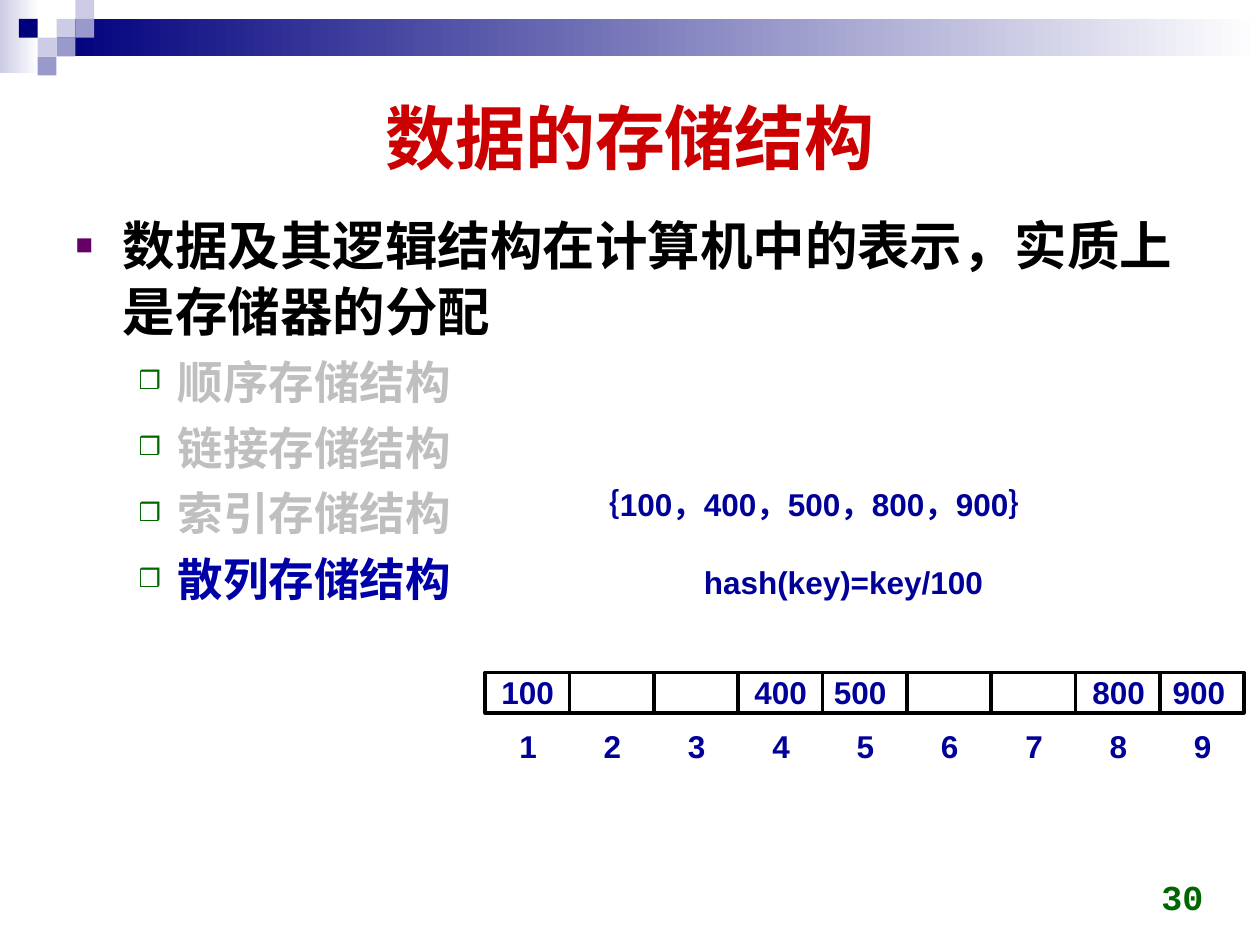
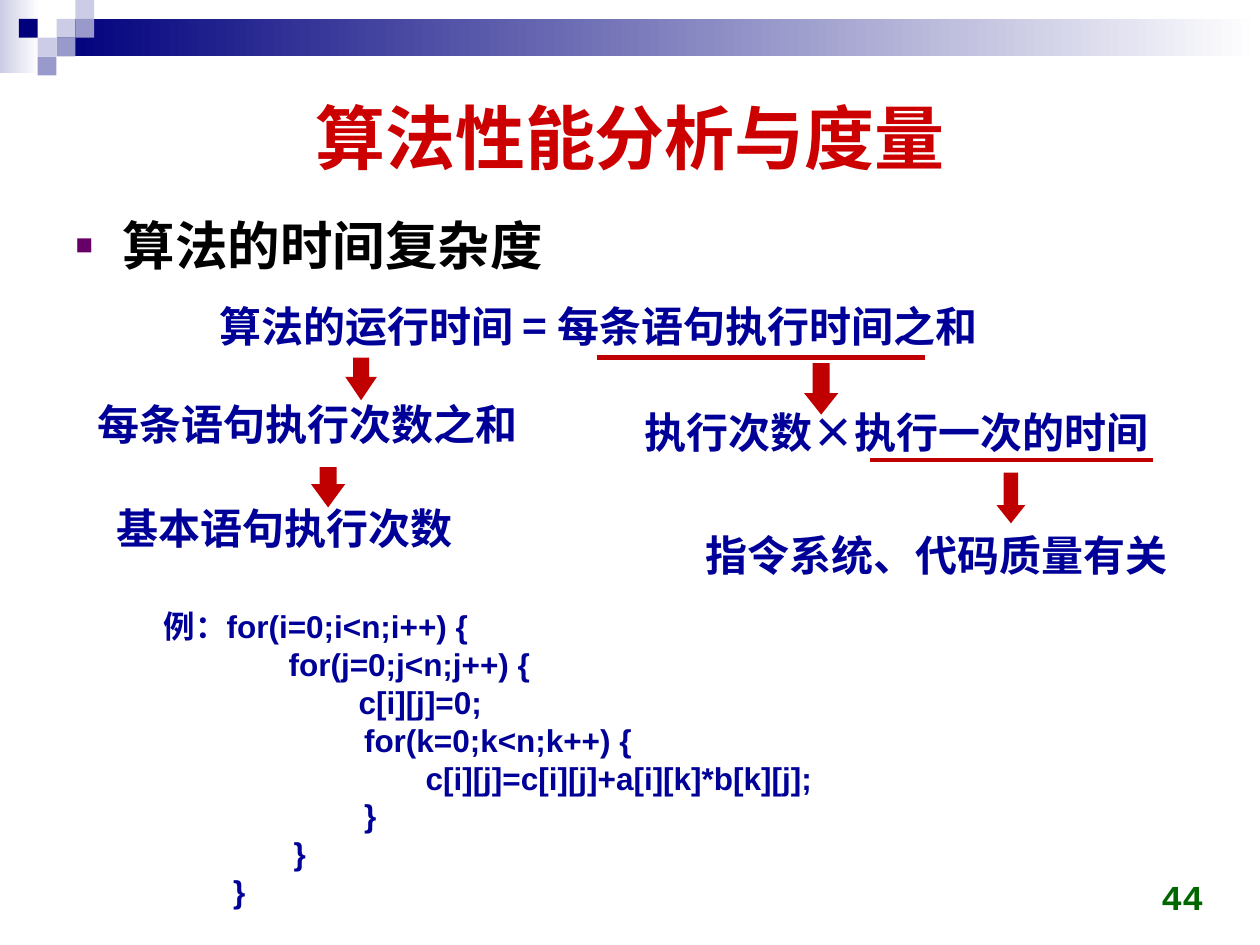
from dataclasses import dataclass

from lxml import etree
from pptx import Presentation
from pptx.dml.color import RGBColor
from pptx.enum.shapes import MSO_CONNECTOR, MSO_SHAPE
from pptx.enum.text import MSO_ANCHOR, MSO_AUTO_SIZE, PP_ALIGN
from pptx.oxml.ns import qn
from pptx.util import Cm, Pt

RECT, DOWN_ARROW = MSO_SHAPE.RECTANGLE, MSO_SHAPE.DOWN_ARROW
STRAIGHT = MSO_CONNECTOR.STRAIGHT
TOP, MIDDLE, BOTTOM = MSO_ANCHOR.TOP, MSO_ANCHOR.MIDDLE, MSO_ANCHOR.BOTTOM
LEFT, CENTER, RIGHT = PP_ALIGN.LEFT, PP_ALIGN.CENTER, PP_ALIGN.RIGHT
FIXED, GROW = MSO_AUTO_SIZE.NONE, MSO_AUTO_SIZE.SHAPE_TO_FIT_TEXT

# Shared colours and fonts
NAVY, LILAC, PALE, WHITE = "00007D", "9999CC", "CCCCE6", "FFFFFF"
BLACK, GREY, BLUE, BRIGHT_BLUE = "000000", "BFBFBF", "000099", "0000A8"
TITLE_RED, ARROW_RED, GREEN, PURPLE = "CC0000", "C00000", "006600", "660066"
ARIAL, COURIER, CJK = "Arial", "Courier New", "Noto Sans CJK SC"


@dataclass
class Level:
    size: float
    indent: float
    hang: float
    before: float
    bullet: str
    bullet_color: str


LEVELS = [
    Level(30, 0.95, 0.95, 5.6, "■", PURPLE),
    Level(26, 2.06, 0.79, 4.9, "❒", GREEN),
]


@dataclass
class Item:
    text: str
    color: str = BLACK
    level: int = 0


@dataclass
class Label:
    text: str
    left: float
    top: float
    width: float
    height: float = 1.02
    size: float = 18
    font: str = ARIAL
    color: str = BLUE
    align: PP_ALIGN = LEFT
    anchor: MSO_ANCHOR = TOP
    wrap: bool = False
    side_inset: float = 0.25
    line_spacing: float = 1.0
    auto_size: MSO_AUTO_SIZE = GROW


@dataclass
class Arrow:
    left: float
    top: float
    width: float
    height: float
    head: float


@dataclass
class Underline:
    left: float
    right: float
    top: float


def rgb(color: str) -> RGBColor:
    return RGBColor.from_string(color)


def add_run(p, text: str, size: float, color: str, font: str = ARIAL) -> None:
    r = p.add_run()
    r.text = text
    r.font.size, r.font.bold, r.font.name = Pt(size), True, font
    r.font.color.rgb = rgb(color)
    etree.SubElement(r.font._element, qn("a:ea"), typeface=CJK)


def set_indent(p, left: float, first: float = 0) -> None:
    pPr = p._p.get_or_add_pPr()
    pPr.set("marL", str(Cm(left)))
    pPr.set("indent", str(Cm(first)))


def set_bullet(p, level: Level) -> None:
    pPr = p._p.get_or_add_pPr()
    bullet_color = etree.SubElement(pPr, qn("a:buClr"))
    etree.SubElement(bullet_color, qn("a:srgbClr"), val=level.bullet_color)
    etree.SubElement(pPr, qn("a:buSzPct"), val="55000")
    etree.SubElement(pPr, qn("a:buFont"), typeface=ARIAL)
    etree.SubElement(pPr, qn("a:buChar"), char=level.bullet)


def place(sp, left: float, top: float, width: float, height: float) -> None:
    sp.left, sp.top, sp.width, sp.height = Cm(left), Cm(top), Cm(width), Cm(height)


def add_box(s, preset, left: float, top: float, width: float, height: float,
            fill: str = "", fade_to: str = "", line: str = ""):
    sp = s.shapes.add_shape(preset, Cm(left), Cm(top), Cm(width), Cm(height))
    sp.shadow.inherit = False
    if fade_to:
        sp.fill.gradient()
        sp.fill.gradient_angle = 0
        for stop, color in zip(sp.fill.gradient_stops, (fill, fade_to)):
            stop.color.rgb = rgb(color)
    elif fill:
        sp.fill.solid()
        sp.fill.fore_color.rgb = rgb(fill)
    else:
        sp.fill.background()
    if line:
        sp.line.color.rgb, sp.line.width = rgb(line), Pt(2)
    else:
        sp.line.fill.background()
    return sp


def add_label(s, label: Label):
    sp = s.shapes.add_textbox(Cm(label.left), Cm(label.top), Cm(label.width), Cm(label.height))
    tf = sp.text_frame
    tf.word_wrap, tf.auto_size = label.wrap, label.auto_size
    tf.vertical_anchor = label.anchor
    tf.margin_left = tf.margin_right = Cm(label.side_inset)
    p = tf.paragraphs[0]
    p.alignment, p.line_spacing = label.align, label.line_spacing
    add_run(p, label.text, label.size, label.color, label.font)
    return sp


def add_arrow(s, arrow: Arrow) -> None:
    sp = add_box(s, DOWN_ARROW, arrow.left, arrow.top, arrow.width, arrow.height, ARROW_RED)
    sp.adjustments[0], sp.adjustments[1] = 0.5, arrow.head


def add_underline(s, mark: Underline) -> None:
    line = s.shapes.add_connector(STRAIGHT, Cm(mark.left), Cm(mark.top), Cm(mark.right), Cm(mark.top))
    line.line.color.rgb, line.line.width = rgb(ARROW_RED), Pt(2.5)
    etree.SubElement(line._element.spPr, qn("a:effectLst"))


def move_band_to_layout(s, layout) -> None:
    """Draw the top band and its squares, then move them behind the layout."""
    unit = 0.38
    squares = [(3, 1, PALE), (4, 0, PALE), (4, 1, LILAC), (2, 2, PALE),
               (1, 1, NAVY), (3, 2, LILAC), (2, 3, LILAC)]
    band = [add_box(s, RECT, 0, 0, 0.79, 1.47, PALE, WHITE),
            add_box(s, RECT, 1.14, unit, 24.26, 2 * unit, NAVY, WHITE)]
    band += [add_box(s, RECT, col * unit, row * unit, unit, unit, color)
             for col, row, color in squares]
    for n, sp in enumerate(band):
        sp.element.find(".//" + qn("p:cNvPr")).set("id", str(100 + n))
        layout.shapes.element.insert(2 + n, sp.element)


def add_slide(prs, layout, title: str, items: list[Item], number: str):
    s = prs.slides.add_slide(layout)
    # Title
    place(s.shapes.title, 1.27, 1.27, 22.86, 2.95)
    tf = s.shapes.title.text_frame
    tf.vertical_anchor, tf.auto_size = MIDDLE, FIXED
    tf.paragraphs[0].alignment = CENTER
    add_run(tf.paragraphs[0], title, 40, TITLE_RED)
    # Bulleted list
    body = s.placeholders[1]
    place(body, 1.27, 4.11, 22.86, 13.21)
    tf = body.text_frame
    tf.vertical_anchor, tf.auto_size = TOP, FIXED
    for i, item in enumerate(items):
        p = tf.add_paragraph() if i else tf.paragraphs[0]
        level = LEVELS[item.level]
        p.level, p.line_spacing, p.space_before = item.level, 1.05, Pt(level.before)
        set_indent(p, level.indent, -level.hang)
        set_bullet(p, level)
        add_run(p, item.text, level.size, item.color)
    # Slide number
    add_label(s, Label(number, 18.59, 17.35, 5.92, 1.27, 20, COURIER, GREEN,
                       RIGHT, BOTTOM, wrap=True, auto_size=FIXED))
    return s


def draw_hash_table(s) -> None:
    first, pitch, slots = 9.78, 1.7, 9
    add_label(s, Label("｛100，400，500，800，900｝", 11.61, 9.65, 11.13))
    add_label(s, Label("hash(key)=key/100", 13.94, 11.23, 6.4))
    for slot in range(slots):
        left = first + slot * pitch
        add_box(s, RECT, left, 13.56, pitch, 0.81, line=BLACK)
        add_label(s, Label(str(slot + 1), left + 0.44, 14.53, 0.9))
    key_lefts = {100: 9.86, 400: 14.96, 500: 16.56, 800: 21.77, 900: 23.39}
    for key, left in key_lefts.items():
        add_label(s, Label(str(key), left, 13.45, 1.7))


def draw_time_breakdown(s) -> None:
    add_label(s, Label("算法的运行时间 = 每条语句执行时间之和", 4.17, 5.94, 16.74, 1.27, 24, CJK))
    terms = [
        Label("执行次数×执行一次的时间", 13.0, 8.15, 10.64, 1.22, font=CJK, line_spacing=0.95),
        Label("指令系统、代码质量有关", 14.22, 10.54, 10.64, 1.27),
        Label("每条语句执行次数之和", 1.96, 7.9, 9.02, 1.27, font=CJK),
        Label("基本语句执行次数", 2.34, 10.01, 7.9, 1.27, font=CJK),
    ]
    for term in terms:
        term.size, term.wrap, term.side_inset = 24, True, 0
        add_label(s, term)
    for mark in (Underline(12.04, 18.64, 7.21), Underline(17.53, 23.24, 9.27)):
        add_underline(s, mark)
    arrows = [Arrow(16.21, 7.32, 0.69, 1.04, 0.63), Arrow(20.09, 9.53, 0.58, 1.02, 0.63),
              Arrow(6.96, 7.21, 0.64, 0.86, 0.74), Arrow(6.27, 9.42, 0.69, 0.81, 0.68)]
    for arrow in arrows:
        add_arrow(s, arrow)


def draw_code_example(s) -> None:
    nested_lines = [(2.52, "for(j=0;j<n;j++) {"), (3.93, "c[i][j]=0;"),
                    (4.04, "for(k=0;k<n;k++) {"), (5.28, "c[i][j]=c[i][j]+a[i][k]*b[k][j];"),
                    (4.04, "}"), (2.62, "}"), (1.4, "}")]
    sp = add_label(s, Label("例：for(i=0;i<n;i++) {", 3.05, 12.12, 13.59, 6.35))
    for indent, text in nested_lines:
        p = sp.text_frame.add_paragraph()
        set_indent(p, indent)
        add_run(p, text, 18, BLUE)


def main() -> None:
    prs = Presentation()
    prs.slide_width, prs.slide_height = Cm(25.4), Cm(19.05)
    layout = prs.slide_layouts[1]

    # Slide: storage structures
    storage = add_slide(prs, layout, "数据的存储结构", [
        Item("数据及其逻辑结构在计算机中的表示，实质上是存储器的分配"),
        Item("顺序存储结构", GREY, 1),
        Item("链接存储结构", GREY, 1),
        Item("索引存储结构", GREY, 1),
        Item("散列存储结构", BRIGHT_BLUE, 1),
    ], "30")
    move_band_to_layout(storage, layout)
    draw_hash_table(storage)

    # Slide: time complexity
    timing = add_slide(prs, layout, "算法性能分析与度量", [Item("算法的时间复杂度")], "44")
    draw_time_breakdown(timing)
    draw_code_example(timing)

    prs.save("out.pptx")


if __name__ == "__main__":
    main()
